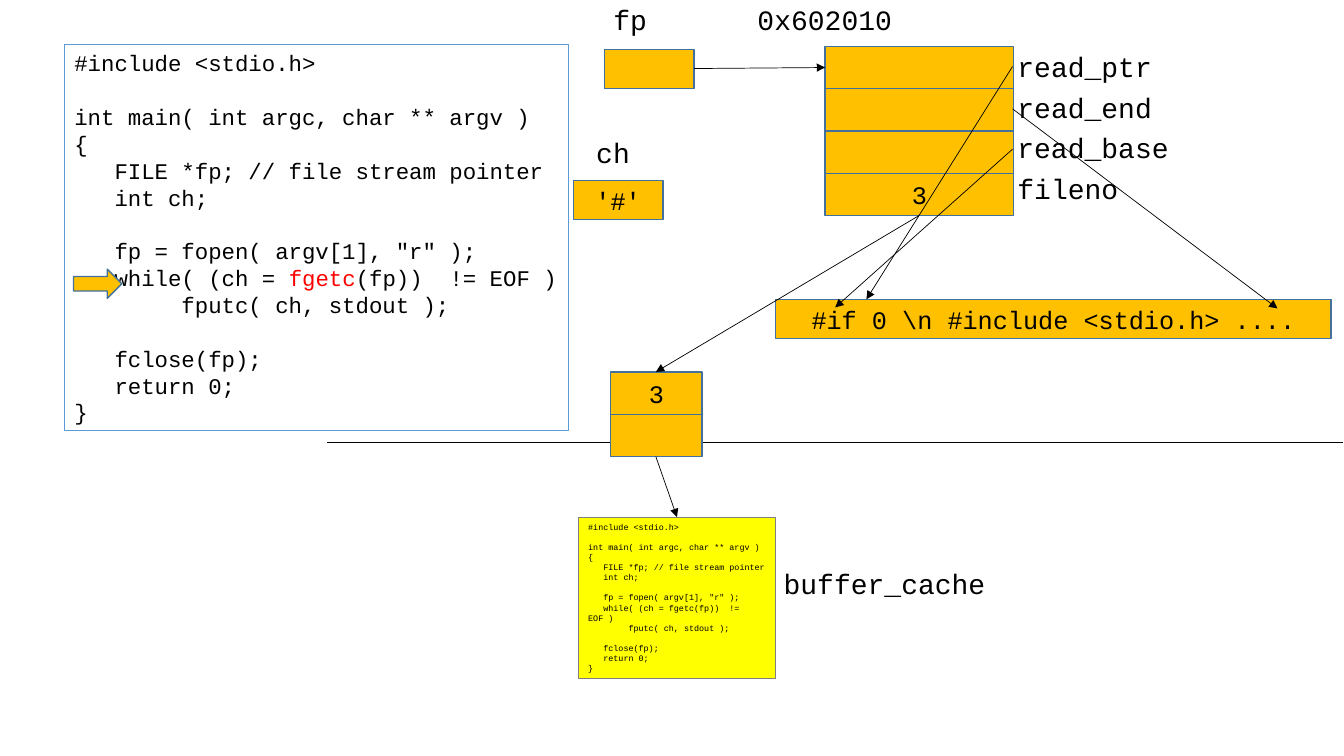
from dataclasses import dataclass

from lxml import etree
from pptx import Presentation, util as u
from pptx.dml import color
from pptx.enum import shapes, text
from pptx.oxml import ns

COLS, ROWS = 133.4, 75
WIDE, HIGH = u.Inches(13.34), u.Inches(7.5)
FACE = "Courier New"
HUES = {"ink": "000000", "gold": "FFC000", "edge": "41719C", "sky": "5B9BD5",
        "lemon": "FFFF00", "gray": "7F7F7F", "call": "FF0000"}
CODE = """#include <stdio.h>

int main( int argc, char ** argv )
{
   FILE *fp; // file stream pointer
   int ch;

   fp = fopen( argv[1], "r" );
   while( (ch = fgetc(fp))  != EOF )
        fputc( ch, stdout );

   fclose(fp);
   return 0;
}"""


@dataclass
class Box:
    col: float
    row: float
    wide: float
    high: float
    words: str = ""
    kind: shapes.MSO_SHAPE = shapes.MSO_SHAPE.RECTANGLE


@dataclass
class Code:
    box: Box
    size: float
    fill: str
    edge: str
    wrap: bool
    mark: str


@dataclass
class Label:
    col: float
    row: float
    words: str


@dataclass
class Link:
    start: tuple[float, float]
    end: tuple[float, float]
    head: bool = True


CELL, STEP = 4.2, 4.05
LISTING = Code(Box(6.4, 4.4, 50, 38.3, CODE), 16, "", "sky", False, "fgetc")
CACHE = Code(Box(57.4, 51.3, 19.6, 16, CODE), 6, "lemon", "gray", True, "")

FIELDS = ["read_ptr", "read_end", "read_base", "fileno"]
BOXES = [
    Box(7.3, 26.7, 4.8, 2.9, kind=shapes.MSO_SHAPE.RIGHT_ARROW),
    *[Box(81.9, 4.6 + i * CELL, 18.7, CELL, "3" if name == "fileno" else "")
      for i, name in enumerate(FIELDS)],
    *[Box(60.6, 36.9 + i * CELL, 9.1, CELL, words) for i, words in enumerate(["3", ""])],
    Box(60, 4.9, 8.9, 3.9),
    Box(56.9, 17.9, 8.9, 3.9, "'#'"),
    Box(77, 29.7, 55.1, 3.9, r"#if 0 \n #include <stdio.h> ...."),
]
LABELS = [
    Label(74.2, -0.2, "0x602010"),
    Label(59.9, -0.2, "fp"),
    Label(58.2, 13, "ch"),
    Label(76.8, 55.7, "buffer_cache"),
    *[Label(100, 4.4 + i * STEP, name) for i, name in enumerate(FIELDS)],
]
LINKS = [
    Link((68.9, 6.8), (81.9, 6.7)),
    Link((65.1, 45.3), (67.2, 51.3)),
    Link((91.2, 21.4), (65.1, 36.9)),
    Link((100.5, 14.8), (82.9, 30.5)),
    Link((100.5, 6.6), (86, 29.7)),
    Link((100.5, 10.8), (126.8, 30.6)),
]
BORDER = Link((32.5, 43.9), (133.3, 43.9), head=False)


def at_x(col: float) -> int:
    return round(WIDE * col / COLS)


def at_y(row: float) -> int:
    return round(HIGH * row / ROWS)


def paint(hue: str) -> color.RGBColor:
    return color.RGBColor.from_string(HUES[hue])


def write(frame, words: str, size: float, align=text.PP_ALIGN.LEFT, mark: str = "") -> None:
    pitch = u.Pt(size * 1.2)
    para, gap = frame.paragraphs[0], False
    for num, line in enumerate(words.split("\n")):
        if not line:
            gap = True
            continue
        if num:
            para = frame.add_paragraph()
        para.alignment = align
        para.line_spacing = pitch
        if gap:
            para.space_before = pitch
        gap = False
        para.font.name, para.font.size = FACE, u.Pt(size)
        pre, hit, post = line.partition(mark) if mark else (line, "", "")
        if not hit:
            para.font.color.rgb = paint("ink")
        for part, hue in ((pre, "ink"), (hit, "call"), (post, "ink")):
            if part:
                run = para.add_run()
                run.text = part
                if hit:
                    run.font.color.rgb = paint(hue)


def draw_box(page, box: Box, fill: str = "gold", edge: str = "edge", thick: float = 1):
    shape = page.shapes.add_shape(box.kind, at_x(box.col), at_y(box.row),
                                  at_x(box.wide), at_y(box.high))
    shape.shadow.inherit = False
    if fill:
        shape.fill.solid()
        shape.fill.fore_color.rgb = paint(fill)
    else:
        shape.fill.background()
    shape.line.color.rgb = paint(edge)
    shape.line.width = u.Pt(thick)
    return shape


def draw_cell(page, box: Box) -> None:
    frame = draw_box(page, box).text_frame
    if box.words:
        frame.vertical_anchor = text.MSO_ANCHOR.MIDDLE
        write(frame, box.words, 18, text.PP_ALIGN.CENTER)


def draw_code(page, code: Code) -> None:
    frame = draw_box(page, code.box, code.fill, code.edge, 0.75).text_frame
    frame.word_wrap = code.wrap
    frame.vertical_anchor = text.MSO_ANCHOR.TOP
    write(frame, code.box.words, code.size, mark=code.mark)


def draw_label(page, label: Label) -> None:
    wide = 2 + 1.67 * len(label.words)
    area = page.shapes.add_textbox(at_x(label.col), at_y(label.row), at_x(wide), at_y(4.4))
    area.text_frame.word_wrap = False
    write(area.text_frame, label.words, 20)


def draw_link(page, link: Link) -> None:
    (left, top), (right, low) = link.start, link.end
    line = page.shapes.add_connector(shapes.MSO_CONNECTOR.STRAIGHT,
                                     at_x(left), at_y(top), at_x(right), at_y(low))
    line.line.color.rgb = paint("ink")
    line.line.width = u.Pt(0.5)
    if link.head:
        etree.SubElement(line.line._get_or_add_ln(), ns.qn("a:tailEnd"), type="triangle")
    etree.SubElement(line._element.spPr, ns.qn("a:effectLst"))


def main() -> None:
    deck = Presentation()
    deck.slide_width, deck.slide_height = WIDE, HIGH
    page = deck.slides.add_slide(deck.slide_layouts[6])
    draw_link(page, BORDER)
    for code in (LISTING, CACHE):
        draw_code(page, code)
    for box in BOXES:
        draw_cell(page, box)
    for label in LABELS:
        draw_label(page, label)
    for link in LINKS:
        draw_link(page, link)
    deck.save("out.pptx")


if __name__ == "__main__":
    main()
